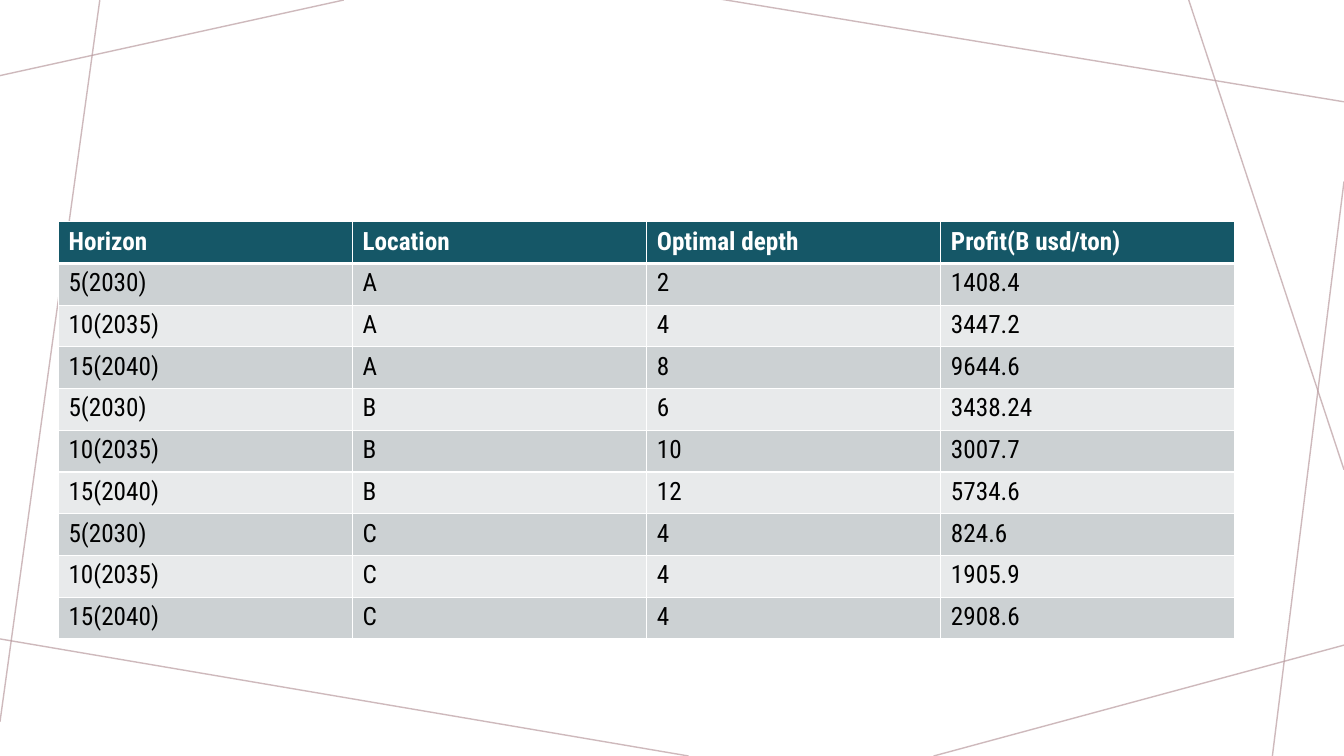
from dataclasses import dataclass

from lxml.etree import SubElement
from pptx import Presentation
from pptx.dml.color import RGBColor as RGB
from pptx.enum.shapes import MSO_CONNECTOR as CONNECTOR
from pptx.oxml.ns import qn
from pptx.util import Inches, Pt

# Content
HEADER = ("Horizon", "Location", "Optimal depth", "Profit(B usd/ton)")
HORIZONS = ("5(2030)", "10(2035)", "15(2040)")
RESULTS = {  # location: (optimal depth, profit) for each horizon
    "A": (("2", "1408.4"), ("4", "3447.2"), ("8", "9644.6")),
    "B": (("6", "3438.24"), ("10", "3007.7"), ("12", "5734.6")),
    "C": (("4", "824.6"), ("4", "1905.9"), ("4", "2908.6")),
}
ROWS = [HEADER] + [
    (horizon, location, *result)
    for location, results in RESULTS.items()
    for horizon, result in zip(HORIZONS, results)
]

# Layout in inches
WIDTH, HEIGHT = 13.33, 7.5
TABLE_LEFT, TABLE_TOP, TABLE_WIDTH, TABLE_HEIGHT = 0.58, 2.2, 11.67, 4.14
BACKGROUND_LINES = (
    ((3.41, 0), (0, 0.75)),
    ((0.99, 0), (0, 7.16)),
    ((6.83, HEIGHT), (-0.05, 6.33)),
    ((WIDTH, 6.4), (9.26, HEIGHT)),
    ((WIDTH, 1.8), (12.62, HEIGHT)),
    ((WIDTH, 4.66), (11.79, 0)),
    ((WIDTH, 1.01), (7.14, -0.01)),
)


@dataclass(frozen=True)
class Theme:
    font: str = "Roboto Condensed"
    size: int = 18
    header_fill: str = "155767"
    header_text: str = "FFFFFF"
    bands: tuple = ("CCD1D3", "E8EAEB")
    text: str = "000000"
    border: str = "FFFFFF"
    border_width: int = 1
    header_rule: int = 3
    line: str = "BA9CA0"
    line_width: int = 1
    line_opacity: int = 70


THEME = Theme()


def add_line(slide, start, end):
    points = [Inches(v) for v in (*start, *end)]
    line = slide.shapes.add_connector(CONNECTOR.STRAIGHT, *points)
    line.line.width = Pt(THEME.line_width)
    line.line.color.rgb = RGB.from_string(THEME.line)
    sp_pr = line._element.spPr
    color = sp_pr.find(".//" + qn("a:srgbClr"))
    SubElement(color, qn("a:alpha"), val=str(THEME.line_opacity * 1000))
    SubElement(sp_pr, qn("a:effectLst"))


def add_borders(cell, row):
    widths = dict.fromkeys(("lnL", "lnR", "lnT", "lnB"), THEME.border_width)
    if row == 0:
        widths["lnB"] = THEME.header_rule
    elif row == 1:
        widths["lnT"] = THEME.header_rule
    tc_pr = cell._tc.get_or_add_tcPr()
    for side, width in widths.items():
        ln = SubElement(tc_pr, qn("a:" + side), w=str(Pt(width)))
        fill = SubElement(ln, qn("a:solidFill"))
        SubElement(fill, qn("a:srgbClr"), val=THEME.border)


def fill_cell(cell, text, row):
    is_header = row == 0
    add_borders(cell, row)
    fill = THEME.header_fill if is_header else THEME.bands[(row - 1) % 2]
    cell.fill.solid()
    cell.fill.fore_color.rgb = RGB.from_string(fill)
    r = cell.text_frame.paragraphs[0].add_run()
    r.text = text
    r.font.name = THEME.font
    r.font.size = Pt(THEME.size)
    r.font.bold = is_header
    color = THEME.header_text if is_header else THEME.text
    r.font.color.rgb = RGB.from_string(color)


def add_results_table(slide):
    box = [Inches(v) for v in (TABLE_LEFT, TABLE_TOP, TABLE_WIDTH, TABLE_HEIGHT)]
    table = slide.shapes.add_table(len(ROWS), len(HEADER), *box).table
    for row, texts in enumerate(ROWS):
        for column, text in enumerate(texts):
            fill_cell(table.cell(row, column), text, row)


def main():
    prs = Presentation()
    prs.slide_width, prs.slide_height = Inches(WIDTH), Inches(HEIGHT)
    blank = prs.slide_layouts.get_by_name("Blank")
    slide = prs.slides.add_slide(blank)

    # Background lines, then the table over them
    for start, end in BACKGROUND_LINES:
        add_line(slide, start, end)
    add_results_table(slide)

    prs.save("out.pptx")


if __name__ == "__main__":
    main()
